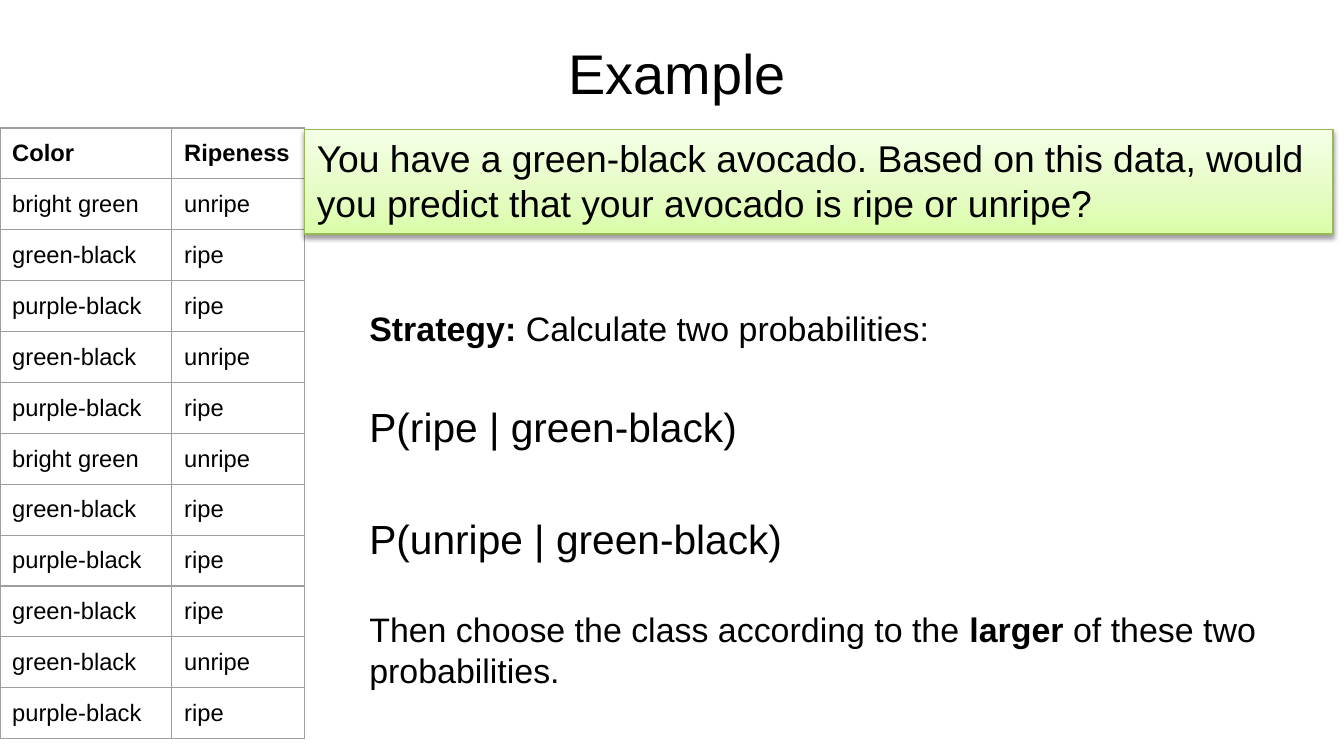
from dataclasses import dataclass

from lxml import etree
from pptx import Presentation
from pptx.dml.color import RGBColor
from pptx.enum.shapes import MSO_SHAPE
from pptx.enum.text import MSO_ANCHOR, PP_ALIGN
from pptx.oxml.ns import qn
from pptx.util import Inches, Pt

RECTANGLE = MSO_SHAPE.RECTANGLE
MIDDLE, TOP = MSO_ANCHOR.MIDDLE, MSO_ANCHOR.TOP
LEFT, CENTER = PP_ALIGN.LEFT, PP_ALIGN.CENTER


@dataclass(frozen=True)
class Theme:
    font: str = "Arial"
    ink: str = "000000"
    grid: str = "9E9E9E"
    callout_line: str = "98B955"
    callout_stops: tuple = ((0, "DAFDA7"), (35, "E4FCC2"), (100, "F5FFE7"))
    title_size: int = 33
    formula_size: int = 24
    callout_size: int = 22
    body_size: int = 20
    table_size: int = 14
    hairline: float = 0.75


@dataclass(frozen=True)
class Line:
    phrases: tuple
    size: int
    before: float = 0
    spacing: float = 1.0


def add_node(parent, tag, **attributes):
    return etree.SubElement(parent, qn(tag), attributes)


class SlideBuilder:
    def __init__(self, slide, theme):
        self.slide = slide
        self.theme = theme

    def style_runs(self, paragraph, size, bold=False):
        for run in paragraph.runs:
            run.font.name = self.theme.font
            run.font.size = Pt(size)
            run.font.bold = bold
            run.font.color.rgb = RGBColor.from_string(self.theme.ink)

    def set_frame(self, frame, anchor, horizontal, vertical):
        frame.word_wrap = True
        frame.vertical_anchor = anchor
        frame.margin_left = frame.margin_right = Inches(horizontal)
        frame.margin_top = frame.margin_bottom = Inches(vertical)

    def title(self, text, left, top, width, height):
        heading = self.slide.shapes.title
        heading.left, heading.top = Inches(left), Inches(top)
        heading.width, heading.height = Inches(width), Inches(height)
        frame = heading.text_frame
        frame.text = text
        self.set_frame(frame, MIDDLE, 0, 0)
        frame.paragraphs[0].alignment = CENTER
        self.style_runs(frame.paragraphs[0], self.theme.title_size)

    def border_cell(self, cell):
        properties = cell._tc.get_or_add_tcPr()
        for position, side in enumerate(("a:lnL", "a:lnR", "a:lnT", "a:lnB")):
            line = etree.Element(qn(side), w=str(Pt(self.theme.hairline)))
            fill = add_node(line, "a:solidFill")
            add_node(fill, "a:srgbClr", val=self.theme.grid)
            properties.insert(position, line)

    def table(self, rows, left, top, widths, height):
        frame = self.slide.shapes.add_table(
            len(rows), len(widths), Inches(left), Inches(top),
            Inches(sum(widths)), Inches(height))
        grid = frame.table
        grid.first_row = grid.horz_banding = False
        for column, width in zip(grid.columns, widths):
            column.width = Inches(width)
        for row_index, values in enumerate(rows):
            grid.rows[row_index].height = Inches(height / len(rows))
            for column_index, value in enumerate(values):
                cell = grid.cell(row_index, column_index)
                cell.text_frame.text = value
                cell.margin_left = cell.margin_right = Inches(0.1)
                cell.margin_top = cell.margin_bottom = Inches(0.09)
                cell.vertical_anchor = MIDDLE
                cell.fill.background()
                self.border_cell(cell)
                self.style_runs(cell.text_frame.paragraphs[0],
                                self.theme.table_size, row_index == 0)

    def callout(self, text, left, top, width, height):
        box = self.slide.shapes.add_shape(
            RECTANGLE, Inches(left), Inches(top), Inches(width), Inches(height))
        box.shadow.inherit = False
        box.line.color.rgb = RGBColor.from_string(self.theme.callout_line)
        box.line.width = Pt(self.theme.hairline)
        box.fill.gradient()
        box.fill.gradient_angle = 90
        properties = box._element.spPr
        stops = properties.find(".//" + qn("a:gsLst"))
        for stop in list(stops):
            stops.remove(stop)
        for position, color in self.theme.callout_stops:
            stop = add_node(stops, "a:gs", pos=str(position * 1000))
            add_node(stop, "a:srgbClr", val=color)
        shadow = add_node(
            properties.find(qn("a:effectLst")), "a:outerShdw",
            blurRad=str(Pt(3.1)), dist=str(Pt(1.6)), dir="5400000", rotWithShape="0")
        shade = add_node(shadow, "a:srgbClr", val=self.theme.ink)
        add_node(shade, "a:alpha", val="38000")
        frame = box.text_frame
        frame.text = text
        self.set_frame(frame, TOP, 0.1, 0.05)
        frame.paragraphs[0].alignment = LEFT
        self.style_runs(frame.paragraphs[0], self.theme.callout_size)

    def text(self, lines, left, top, width, height):
        box = self.slide.shapes.add_textbox(
            Inches(left), Inches(top), Inches(width), Inches(height))
        frame = box.text_frame
        self.set_frame(frame, TOP, 0.1, 0.1)
        for index, line in enumerate(lines):
            paragraph = frame.add_paragraph() if index else frame.paragraphs[0]
            paragraph.line_spacing = line.spacing
            paragraph.space_before = Pt(line.before)
            for phrase, _ in line.phrases:
                paragraph.add_run().text = phrase
            self.style_runs(paragraph, line.size)
            for run, (_, bold) in zip(paragraph.runs, line.phrases):
                run.font.bold = bold


AVOCADOS = (
    ("Color", "Ripeness"),
    ("bright green", "unripe"),
    ("green-black", "ripe"),
    ("purple-black", "ripe"),
    ("green-black", "unripe"),
    ("purple-black", "ripe"),
    ("bright green", "unripe"),
    ("green-black", "ripe"),
    ("purple-black", "ripe"),
    ("green-black", "ripe"),
    ("green-black", "unripe"),
    ("purple-black", "ripe"),
)


def main():
    theme = Theme()
    strategy = (
        Line((("Strategy:", True), (" Calculate two probabilities:", False)),
             theme.body_size, spacing=1.15),
        Line((("P(ripe | green-black)", False),), theme.formula_size, 27.5, 1.15),
        Line((("P(unripe | green-black)", False),), theme.formula_size, 33, 1.15),
        Line((("Then choose the class according to the ", False), ("larger", True),
              (" of these two probabilities.", False)), theme.body_size, 27.5),
    )
    presentation = Presentation()
    presentation.slide_width = Inches(11.02)
    presentation.slide_height = Inches(6.2)
    slide = presentation.slides.add_slide(presentation.slide_layouts[5])
    builder = SlideBuilder(slide, theme)
    builder.title("Example", 0.32, 0.24, 10.47, 0.71)
    builder.table(AVOCADOS, 0, 1.05, (1.41, 1.09), 5.01)
    builder.callout(
        "You have a green-black avocado. Based on this data, would you predict "
        "that your avocado is ripe or unripe?", 2.5, 1.06, 8.43, 0.86)
    builder.text(strategy, 2.93, 2.37, 7.55, 2.47)
    presentation.save("out.pptx")


if __name__ == "__main__":
    main()
